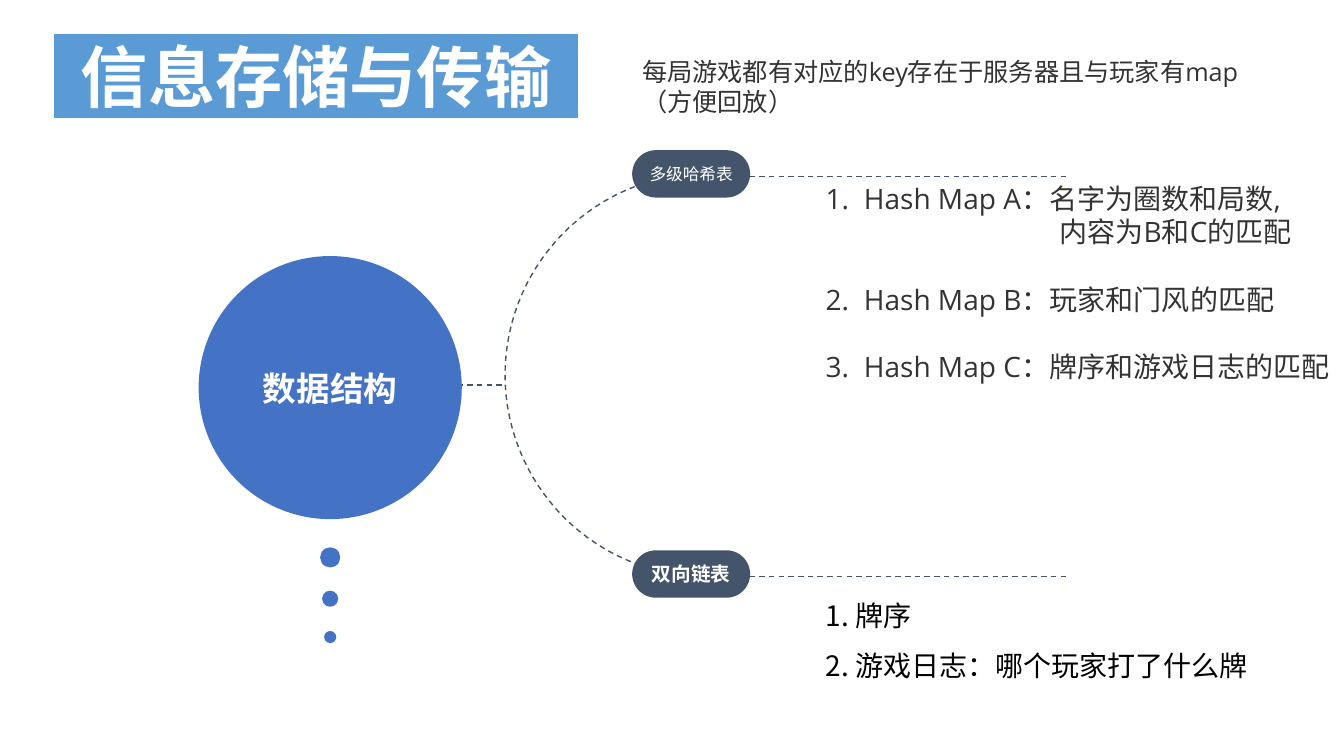
from math import cos, radians, sin

from lxml.etree import SubElement
from pptx import Presentation
from pptx.dml.color import RGBColor
from pptx.enum.dml import MSO_LINE
from pptx.enum.shapes import MSO_CONNECTOR, MSO_SHAPE
from pptx.enum.text import MSO_ANCHOR, MSO_AUTO_SIZE, PP_ALIGN
from pptx.oxml.ns import qn
from pptx.util import Inches, Pt

COLORS = {
    "badge": "5B9BD5",
    "circle": "4472C4",
    "slate": "44546A",
    "body": "333333",
    "black": "000000",
    "white": "FFFFFF",
}
CJK_FONT = "Noto Sans CJK SC"
LATIN_FONT = "Open Sans"


def color(name):
    return RGBColor.from_string(COLORS[name])


def write(shape, *lines, size, ink="white", font=CJK_FONT, bold=False,
          align=PP_ALIGN.CENTER, anchor=MSO_ANCHOR.MIDDLE, spacing=None,
          auto_size=MSO_AUTO_SIZE.NONE):
    """Fill a shape with one paragraph per line; return the paragraphs."""
    frame = shape.text_frame
    frame.text = "\n".join(lines)
    frame.word_wrap = True
    frame.auto_size = auto_size
    frame.vertical_anchor = anchor
    for paragraph in frame.paragraphs:
        paragraph.alignment = align
        paragraph.line_spacing = spacing
        for run in paragraph.runs:
            run.font.size = Pt(size)
            run.font.bold = bold
            run.font.name = font
            run.font.color.rgb = color(ink)
            east_asian = SubElement(run._r.get_or_add_rPr(), qn("a:ea"))
            east_asian.set("typeface", CJK_FONT)
    return frame.paragraphs


def add_text(slide, left, top, width, height, *lines, **text_format):
    box = slide.shapes.add_textbox(
        Inches(left), Inches(top), Inches(width), Inches(height))
    return write(box, *lines, align=PP_ALIGN.LEFT, anchor=MSO_ANCHOR.TOP,
                 auto_size=MSO_AUTO_SIZE.SHAPE_TO_FIT_TEXT, **text_format)


def add_filled(slide, kind, left, top, width, height, fill):
    shape = slide.shapes.add_shape(
        kind, Inches(left), Inches(top), Inches(width), Inches(height))
    shape.shadow.inherit = False
    shape.fill.solid()
    shape.fill.fore_color.rgb = color(fill)
    shape.line.fill.background()
    return shape


def dash(line):
    line.color.rgb = color("slate")
    line.width = Pt(1)
    line.dash_style = MSO_LINE.DASH


def add_dashed_line(slide, left, right, y):
    connector = slide.shapes.add_connector(
        MSO_CONNECTOR.STRAIGHT, Inches(left), Inches(y), Inches(right), Inches(y))
    SubElement(connector._element.spPr, qn("a:effectLst"))
    dash(connector.line)


def set_indent(paragraph, left, hanging=0.0, number=None):
    """Indent a paragraph and, when a number is given, number it."""
    properties = paragraph._p.get_or_add_pPr()
    properties.set("marL", str(Inches(left)))
    properties.set("indent", str(-Inches(hanging)))
    if number:
        bullet = SubElement(properties, qn("a:buAutoNum"))
        bullet.set("type", "arabicPeriod")
        bullet.set("startAt", str(number))


def add_title(slide, left, top, width, height):
    title = slide.shapes.title
    title.left, title.top = Inches(left), Inches(top)
    title.width, title.height = Inches(width), Inches(height)
    geometry = SubElement(title._element.spPr, qn("a:prstGeom"))
    geometry.set("prst", "roundRect")
    SubElement(geometry, qn("a:avLst"))
    title.fill.solid()
    title.fill.fore_color.rgb = color("badge")
    title.line.color.rgb = color("white")
    title.line.width = Pt(1.5)
    write(title, "信息存储与传输", size=48, bold=True)


def add_arc(slide, left, top, radius):
    """Dashed left half of a circle, from bottom to top."""
    points = [
        (Inches(left + radius + radius * cos(radians(angle))),
         Inches(top + radius + radius * sin(radians(angle))))
        for angle in range(90, 271, 3)
    ]
    builder = slide.shapes.build_freeform(*points[0])
    builder.add_line_segments(points[1:], close=False)
    arc = builder.convert_to_shape()
    arc.shadow.inherit = False
    arc.fill.background()
    dash(arc.line)


def add_hub(slide, left, top, diameter):
    """Main circle with shrinking dots below its centre."""
    circle = add_filled(slide, MSO_SHAPE.OVAL, left, top, diameter, diameter, "circle")
    write(circle, "数据结构", size=24, bold=True)
    center = left + diameter / 2
    for offset, dot in ((2.89, 0.2), (3.32, 0.16), (3.72, 0.12)):
        add_filled(slide, MSO_SHAPE.OVAL, center - dot / 2, top + offset,
                   dot, dot, "circle")


def add_branch(slide, left, top, label, **label_format):
    """Pill label with a dashed line leading right."""
    pill = add_filled(slide, MSO_SHAPE.ROUNDED_RECTANGLE, left, top, 1.17, 0.47, "slate")
    pill.adjustments[0] = 0.5
    write(pill, label, **label_format)
    add_dashed_line(slide, left + 0.97, left + 4.31, top + 0.26)


def add_hash_maps(slide, left, top, width, height):
    paragraphs = add_text(
        slide, left, top, width, height,
        "Hash Map A：名字为圈数和局数,",
        "内容为B和C的匹配",
        "Hash Map B：玩家和门风的匹配",
        "Hash Map C：牌序和游戏日志的匹配",
        size=20, ink="body", font=LATIN_FONT)
    first, continuation, *others = paragraphs
    set_indent(first, 0.38, 0.38, number=1)
    set_indent(continuation, 2.32)
    for number, paragraph in enumerate(others, start=2):
        paragraph.space_before = Pt(24)
        set_indent(paragraph, 0.38, 0.38, number=number)


def main():
    presentation = Presentation()
    presentation.slide_width = Inches(13.33)
    presentation.slide_height = Inches(7.5)
    slide = presentation.slides.add_slide(presentation.slide_layouts[5])

    # Heading and remark
    add_title(slide, 0.53, 0.33, 5.21, 0.85)
    add_text(slide, 6.27, 0.51, 6.73, 0.71,
             "每局游戏都有对应的key存在于服务器且与玩家有map", "（方便回放）",
             size=18, ink="body", font=LATIN_FONT)

    # Hub and its link to the arc
    add_arc(slide, 5.01, 1.72, 2)
    add_dashed_line(slide, 4.44, 5.01, 3.82)
    add_hub(slide, 1.97, 2.54, 2.61)

    # Hash table branch
    add_branch(slide, 6.27, 1.49, "多级哈希表", size=11.9)
    add_hash_maps(slide, 8.09, 1.75, 5.36, 2.12)

    # Linked list branch
    add_branch(slide, 6.27, 5.46, "双向链表", size=14, bold=True)
    add_text(slide, 8.09, 5.72, 4.68, 1.06,
             "1. 牌序", "2. 游戏日志：哪个玩家打了什么牌",
             size=20, ink="black", spacing=1.5)

    presentation.save("out.pptx")


if __name__ == "__main__":
    main()
